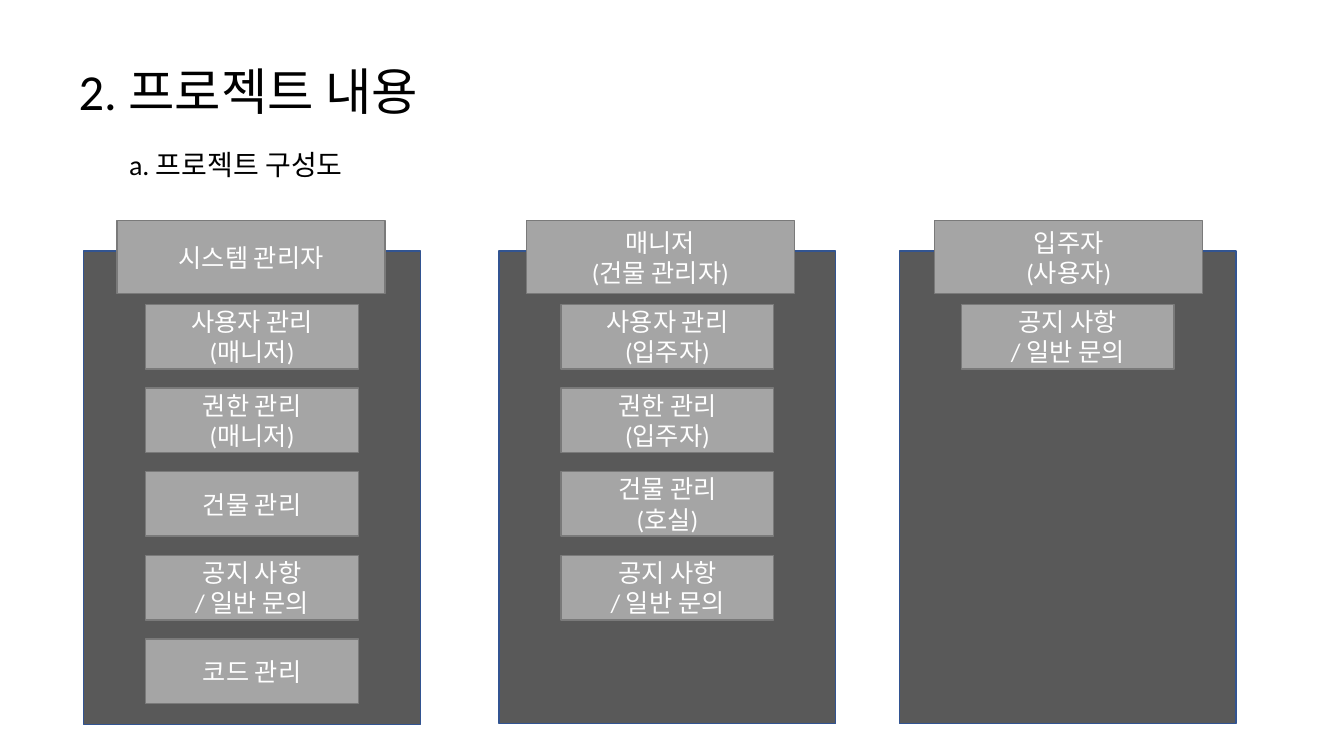
from dataclasses import dataclass

from pptx import Presentation
from pptx.dml.color import RGBColor
from pptx.enum.shapes import MSO_SHAPE
from pptx.enum.text import MSO_ANCHOR, MSO_AUTO_SIZE, PP_ALIGN
from pptx.util import Inches, Pt

RECTANGLE = MSO_SHAPE.RECTANGLE
MIDDLE, TOP = MSO_ANCHOR.MIDDLE, MSO_ANCHOR.TOP
CENTER, LEFT = PP_ALIGN.CENTER, PP_ALIGN.LEFT
NO_AUTOFIT = MSO_AUTO_SIZE.NONE
TITLE_ONLY = 5


@dataclass(frozen=True)
class Theme:
    font: str = "Calibri"
    text: str = "000000"
    light_text: str = "FFFFFF"
    panel: str = "595959"
    panel_line: str = "325491"
    card: str = "A5A5A5"
    card_line: str = "7A7A7A"
    title_size: int = 36
    subtitle_size: int = 20
    card_size: int = 18
    line_width: int = 1


THEME = Theme()

ROLES = [
    {"box": (0.83, 2.49, 3.34, 4.7), "header_offset": 0.33,
     "header": "시스템 관리자",
     "items": ["사용자 관리\n(매니저)", "권한 관리\n(매니저)", "건물 관리",
               "공지 사항\n/ 일반 문의", "코드 관리"]},
    {"box": (4.95, 2.49, 3.34, 4.69), "header_offset": 0.27,
     "header": "매니저\n(건물 관리자)",
     "items": ["사용자 관리\n(입주자)", "권한 관리\n(입주자)",
               "건물 관리\n(호실)", "공지 사항\n/ 일반 문의"]},
    {"box": (8.92, 2.49, 3.34, 4.69), "header_offset": 0.35,
     "header": "입주자\n(사용자)",
     "items": ["공지 사항\n/ 일반 문의"]},
]


def apply_format(target, values):
    for name, value in values.items():
        setattr(target, name, value)


def place(shape, box):
    names = ("left", "top", "width", "height")
    apply_format(shape, dict(zip(names, map(Inches, box))))


def write_text(shape, text, size, color, alignment, anchor):
    frame = shape.text_frame
    frame.text = text
    apply_format(frame, {"word_wrap": True, "auto_size": NO_AUTOFIT,
                         "vertical_anchor": anchor})
    for paragraph in frame.paragraphs:
        paragraph.alignment = alignment
        apply_format(paragraph.font, {"name": THEME.font, "size": Pt(size)})
        paragraph.font.color.rgb = RGBColor.from_string(color)


def add_rectangle(slide, box, fill, line):
    shape = slide.shapes.add_shape(RECTANGLE, *map(Inches, box))
    shape.shadow.inherit = False
    shape.fill.solid()
    shape.fill.fore_color.rgb = RGBColor.from_string(fill)
    shape.line.color.rgb = RGBColor.from_string(line)
    shape.line.width = Pt(THEME.line_width)
    return shape


def add_card(slide, box, text):
    card = add_rectangle(slide, box, THEME.card, THEME.card_line)
    write_text(card, text, THEME.card_size, THEME.light_text, CENTER, MIDDLE)


def add_heading(slide, box, title_text, subtitle_text):
    left, top, width, height = box
    title = slide.shapes.title
    place(title, (left, top, 6.86, 1))
    write_text(title, title_text, THEME.title_size, THEME.text, LEFT, MIDDLE)
    title.text_frame.paragraphs[0].space_after = Pt(6)
    subtitle = slide.shapes.add_textbox(
        *map(Inches, (left, top + 1.01, width, height - 1.01)))
    write_text(subtitle, subtitle_text, THEME.subtitle_size, THEME.text, LEFT, TOP)
    subtitle.text_frame.margin_left = Inches(0.6)


def add_role_column(slide, box, header_offset, header, items):
    left, top, width, height = box
    add_rectangle(slide, box, THEME.panel, THEME.panel_line)
    add_card(slide, (left + header_offset, top - 0.3, 2.66, 0.72), header)
    item_width, item_height, pitch = 2.11, 0.64, 0.83
    item_left = left + (width - item_width) / 2
    for index, item in enumerate(items):
        item_top = top + 0.53 + index * pitch
        add_card(slide, (item_left, item_top, item_width, item_height), item)


def build_structure_slide(presentation):
    slide = presentation.slides.add_slide(presentation.slide_layouts[TITLE_ONLY])
    add_heading(slide, (0.68, 0.4, 10.46, 1.45), "2. 프로젝트 내용", "a. 프로젝트 구성도")
    for role in ROLES:
        add_role_column(slide, **role)


presentation = Presentation()
apply_format(presentation, {"slide_width": Inches(13.33), "slide_height": Inches(7.5)})
build_structure_slide(presentation)
presentation.save("out.pptx")
